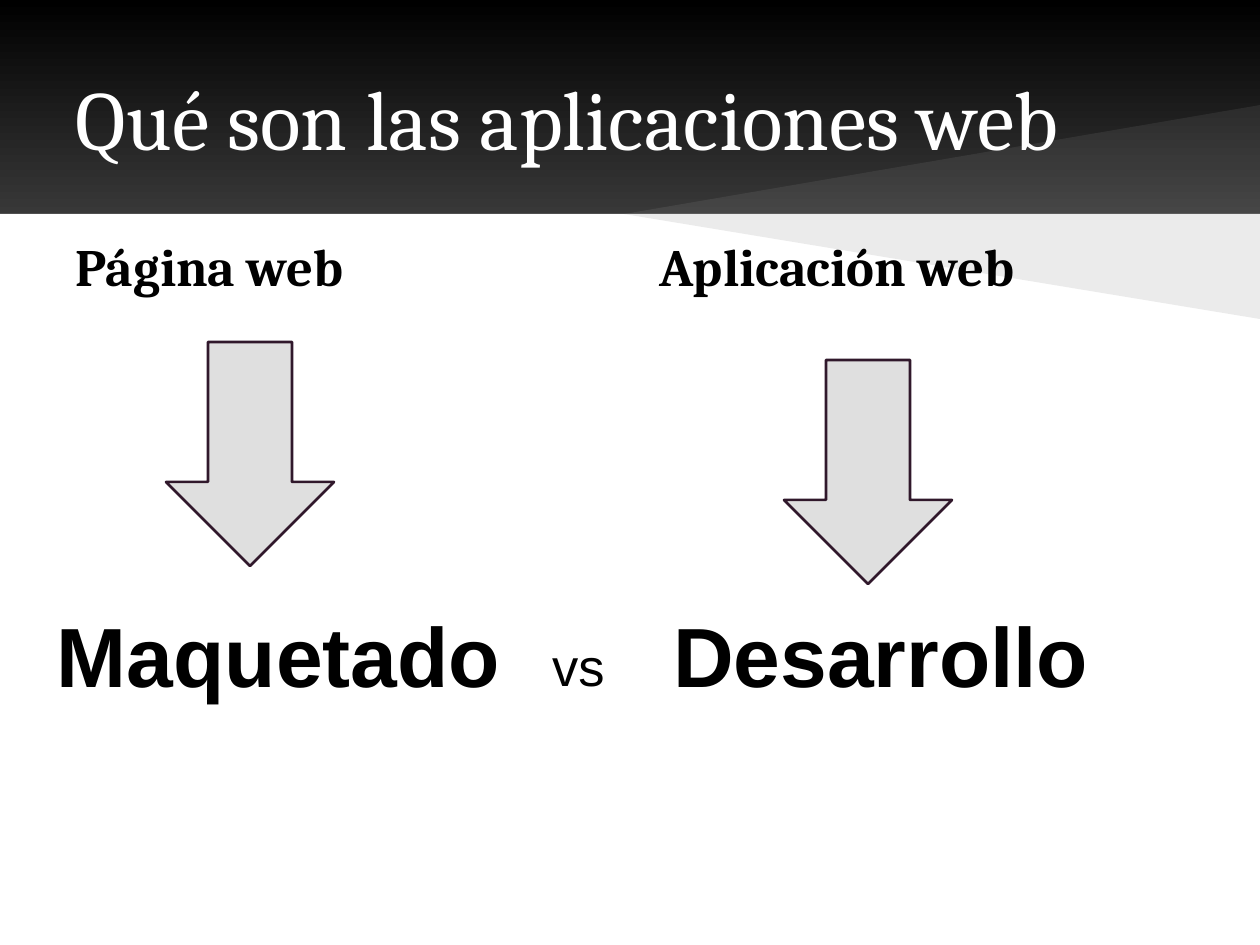
from dataclasses import dataclass

from lxml import etree
from pptx import Presentation
from pptx.dml.color import RGBColor
from pptx.enum.shapes import MSO_SHAPE
from pptx.enum.text import MSO_ANCHOR
from pptx.oxml.ns import qn
from pptx.slide import Slide
from pptx.util import Emu, Pt

EMU_PER_PX = 914400 / 126
SLIDE_WIDTH, SLIDE_HEIGHT = 1260, 945
HEADER_BOTTOM = 214
WEDGE_TIP = 624
TEXT_INSET = 13
ARROW_WIDTH, ARROW_HEIGHT = 168, 224

BLACK = RGBColor(0x00, 0x00, 0x00)
WHITE = RGBColor(0xFF, 0xFF, 0xFF)
ARROW_FILL = RGBColor(0xDF, 0xDF, 0xDF)
ARROW_LINE = RGBColor(0x30, 0x18, 0x2B)

RECTANGLE = MSO_SHAPE.RECTANGLE
DOWN_ARROW = MSO_SHAPE.DOWN_ARROW
TOP, MIDDLE = MSO_ANCHOR.TOP, MSO_ANCHOR.MIDDLE


@dataclass(frozen=True)
class Wedge:
    edge_y: int
    color: RGBColor
    opacity_percent: int


@dataclass(frozen=True)
class Label:
    text: str
    left: int
    top: int
    width: int
    height: int
    size: int
    font: str = "Cambria"
    color: RGBColor = BLACK
    bold: bool = False
    anchor: MSO_ANCHOR = TOP
    space_before: int = 0


@dataclass(frozen=True)
class Arrow:
    left: int
    top: int


WEDGES = (
    Wedge(319, BLACK, 8),
    Wedge(105, WHITE, 7),
)
LABELS = (
    Label("Qué son las aplicaciones web", 63, 38, 1134, 158, 48,
          color=WHITE, anchor=MIDDLE),
    Label("Página web", 63, 221, 551, 175, 30, bold=True, space_before=6),
    Label("Aplicación web", 646, 221, 551, 197, 30, bold=True, space_before=6),
    Label("Maquetado", 44, 587, 524, 134, 48, "Arial", bold=True, anchor=MIDDLE),
    Label("Desarrollo", 660, 587, 524, 134, 48, "Arial", bold=True, anchor=MIDDLE),
    Label("vs", 539, 621, 131, 64, 30, "Arial"),
)
ARROWS = (Arrow(166, 342), Arrow(784, 360))


def px(length: int) -> Emu:
    return Emu(round(length * EMU_PER_PX))


def set_background(slide: Slide) -> None:
    fill = slide.background.fill
    fill.gradient()
    fill.gradient_angle = 270
    for stop, position, color in zip(fill.gradient_stops, (0, 1), (BLACK, WHITE)):
        stop.position = position
        stop.color.rgb = color


def add_content_panel(slide: Slide) -> None:
    panel = slide.shapes.add_shape(
        RECTANGLE, 0, px(HEADER_BOTTOM), px(SLIDE_WIDTH),
        px(SLIDE_HEIGHT - HEADER_BOTTOM))
    panel.shadow.inherit = False
    panel.fill.solid()
    panel.fill.fore_color.rgb = WHITE
    panel.line.fill.background()


def add_wedge(slide: Slide, wedge: Wedge) -> None:
    """Draw a translucent triangle opening from the header's edge to the right."""
    builder = slide.shapes.build_freeform(WEDGE_TIP, HEADER_BOTTOM, EMU_PER_PX)
    builder.add_line_segments(
        [(SLIDE_WIDTH, wedge.edge_y), (SLIDE_WIDTH, HEADER_BOTTOM)], close=True)
    shape = builder.convert_to_shape()
    shape.shadow.inherit = False
    shape.line.fill.background()
    shape.fill.solid()
    shape.fill.fore_color.rgb = wedge.color
    color_element = shape.element.spPr.find(qn("a:solidFill")).find(qn("a:srgbClr"))
    alpha = etree.SubElement(color_element, qn("a:alpha"))
    alpha.set("val", str(wedge.opacity_percent * 1000))


def add_label(slide: Slide, label: Label) -> None:
    box = slide.shapes.add_textbox(
        px(label.left), px(label.top), px(label.width), px(label.height))
    frame = box.text_frame
    frame.word_wrap = True
    frame.vertical_anchor = label.anchor
    frame.margin_left = frame.margin_right = px(TEXT_INSET)
    frame.margin_top = frame.margin_bottom = px(TEXT_INSET)
    paragraph = frame.paragraphs[0]
    paragraph.space_before = Pt(label.space_before)
    run = paragraph.add_run()
    run.text = label.text
    run.font.name = label.font
    run.font.size = Pt(label.size)
    run.font.bold = label.bold
    run.font.color.rgb = label.color


def add_arrow(slide: Slide, arrow: Arrow) -> None:
    shape = slide.shapes.add_shape(
        DOWN_ARROW, px(arrow.left), px(arrow.top), px(ARROW_WIDTH), px(ARROW_HEIGHT))
    shape.shadow.inherit = False
    shape.fill.solid()
    shape.fill.fore_color.rgb = ARROW_FILL
    shape.line.color.rgb = ARROW_LINE
    shape.line.width = Pt(1.5)


def main() -> None:
    presentation = Presentation()
    presentation.slide_width = px(SLIDE_WIDTH)
    presentation.slide_height = px(SLIDE_HEIGHT)
    slide = presentation.slides.add_slide(presentation.slide_layouts[6])

    set_background(slide)
    add_content_panel(slide)
    for wedge in WEDGES:
        add_wedge(slide, wedge)
    for label in LABELS:
        add_label(slide, label)
    for arrow in ARROWS:
        add_arrow(slide, arrow)

    presentation.save("out.pptx")


if __name__ == "__main__":
    main()
